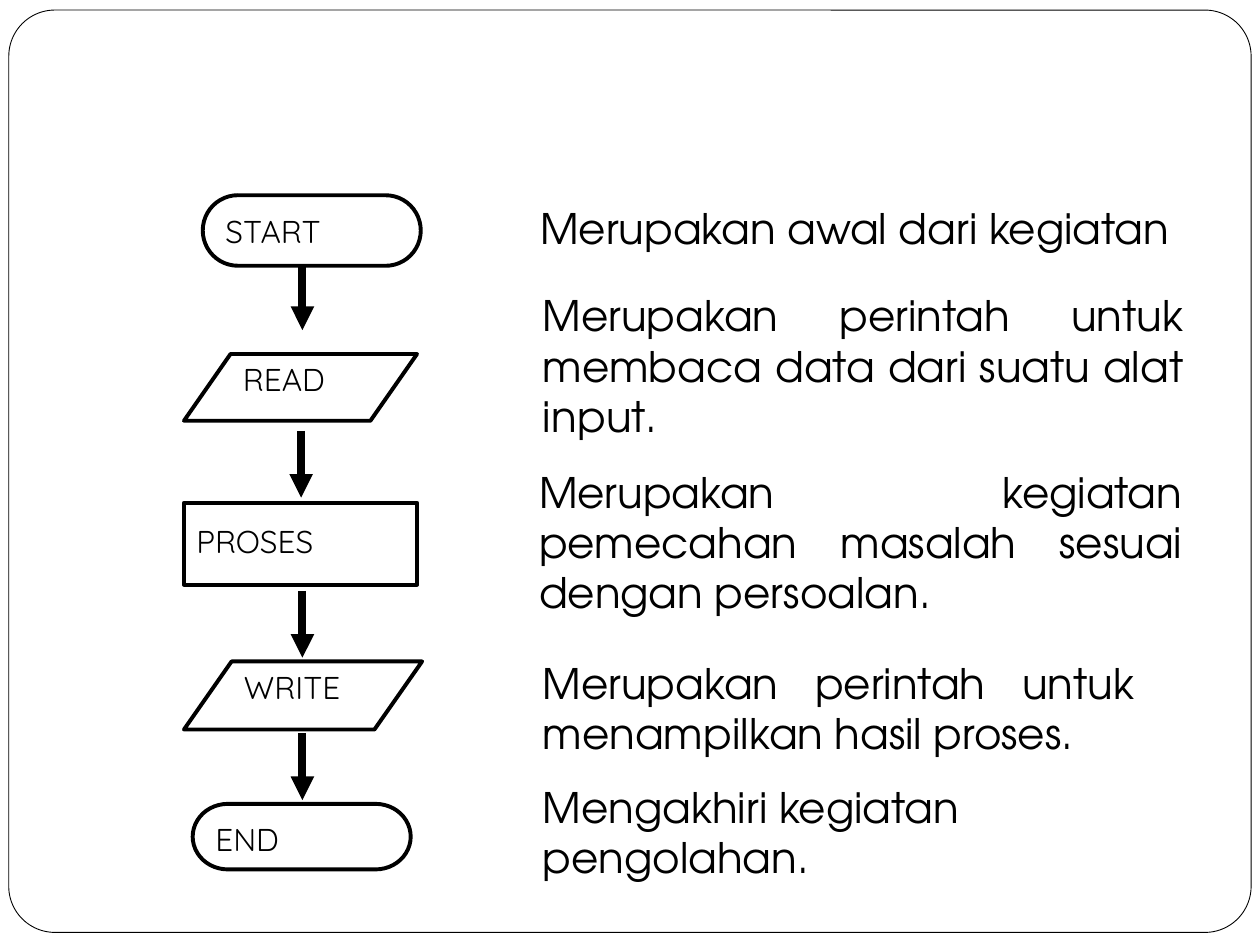
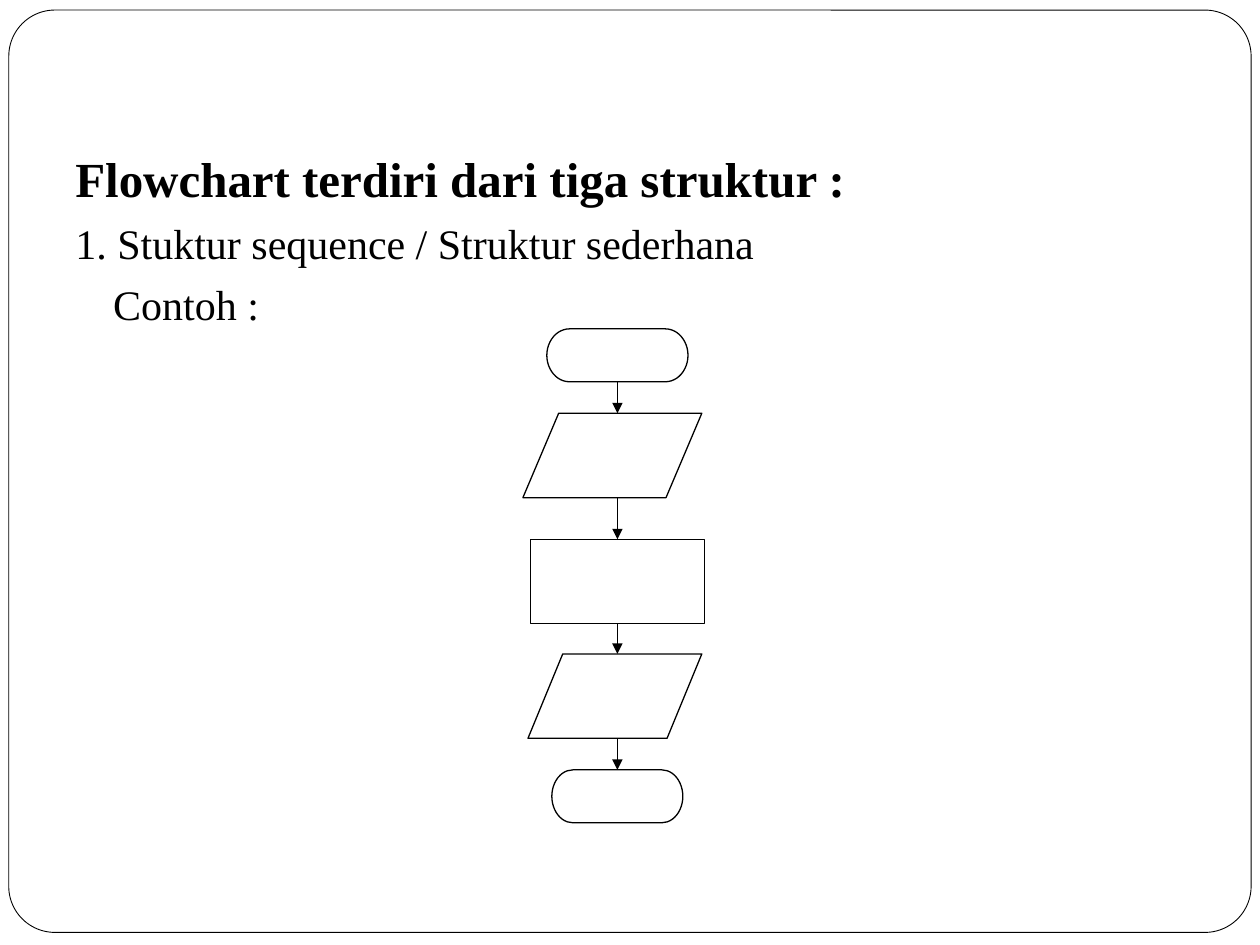
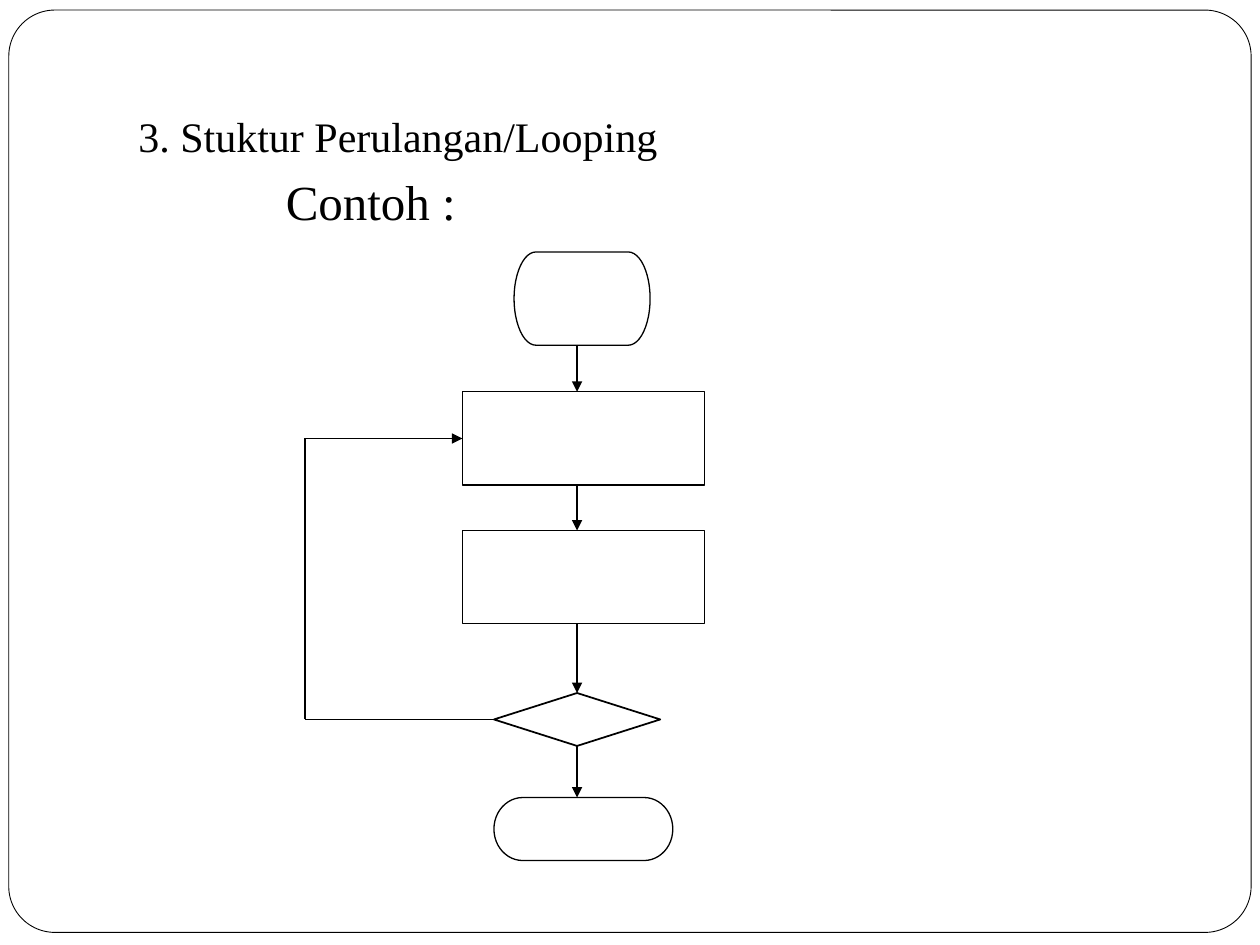
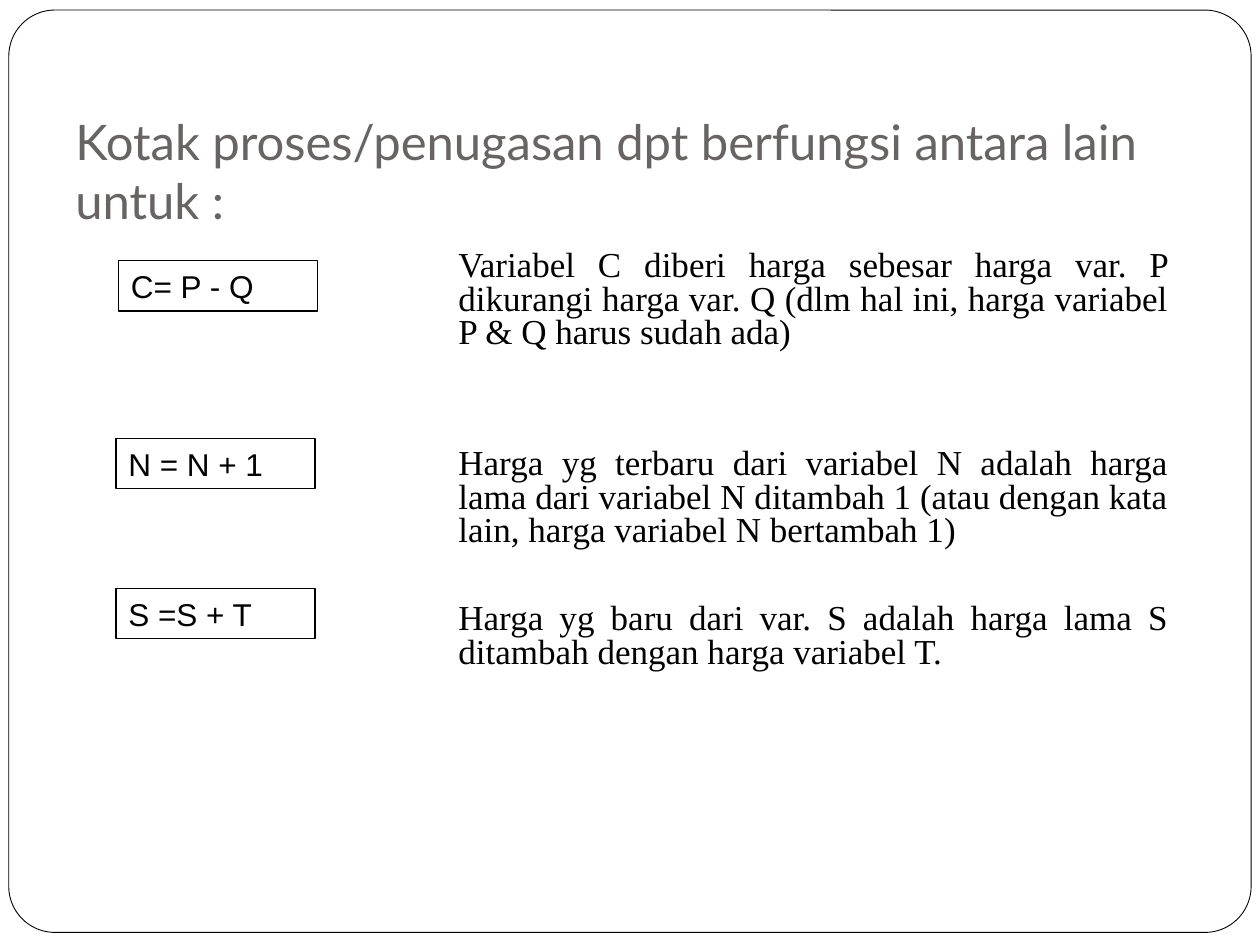
"""Build four slides on flowchart symbols, structures and assignment boxes."""
from typing import Any, NamedTuple, Optional

from lxml.etree import SubElement
from pptx import Presentation
from pptx.dml.color import RGBColor
from pptx.enum.shapes import MSO_CONNECTOR, MSO_SHAPE as Preset
from pptx.enum.text import MSO_ANCHOR as Anchor, PP_ALIGN as Align
from pptx.oxml.ns import qn
from pptx.util import Pt

PX = 9144
BLACK, WHITE, GREY = "000000", "FFFFFF", "696464"
SERIF, SANS, LABEL, GOTHIC, HEADING = (
    "Times New Roman", "Arial", "Quicksand", "TeX Gyre Adventor", "Lato")
TERMINATOR = Preset.FLOWCHART_TERMINATOR
DATA = Preset.FLOWCHART_DATA
PROCESS = Preset.FLOWCHART_PROCESS
DECISION = Preset.DIAMOND


class Area(NamedTuple):
    left: int
    top: int
    width: int
    height: int


class Para(NamedTuple):
    text: str
    size: int
    font: str = SERIF
    color: str = BLACK
    bold: bool = False
    align: Align = Align.LEFT
    before: float = 0
    spacing: float = 1
    margin: int = 0
    hanging: int = 0


class Box(NamedTuple):
    preset: Preset
    area: Area
    label: Optional[Para] = None
    inset_top: int = 5
    anchor: Anchor = Anchor.TOP
    weight: float = 0.75


class Arrow(NamedTuple):
    start: tuple[int, int]
    end: tuple[int, int]
    head: bool = True


def emu(*lengths: int) -> list[int]:
    """Turn px lengths into EMU."""
    return [length * PX for length in lengths]


def rgb(color: str) -> RGBColor:
    """Turn a hex string into a colour."""
    return RGBColor.from_string(color)


def apply(target: Any, values: dict[str, Any]) -> None:
    """Set every format value on the target."""
    for key, value in values.items():
        setattr(target, key, value)


def write(shape: Any, paras: list[Para], anchor: Anchor = Anchor.TOP,
          inset_top: int = 5, inset_bottom: int = 5) -> None:
    """Fill the text frame of a shape with paragraphs."""
    frame = shape.text_frame
    apply(frame, {
        "word_wrap": True, "vertical_anchor": anchor,
        "margin_left": 10 * PX, "margin_right": 10 * PX,
        "margin_top": inset_top * PX, "margin_bottom": inset_bottom * PX})
    for number, para in enumerate(paras):
        line = frame.add_paragraph() if number else frame.paragraphs[0]
        indents = {"marL": para.margin, "indent": -para.hanging}
        for key, length in indents.items():
            line._p.get_or_add_pPr().set(key, str(length * PX))
        apply(line, {"alignment": para.align, "line_spacing": para.spacing,
                     "space_before": Pt(para.before)})
        run = line.add_run()
        run.text = para.text
        apply(run.font, {"size": Pt(para.size), "name": para.font,
                         "bold": para.bold})
        run.font.color.rgb = rgb(para.color)


def add_text(shapes: Any, area: Area, paras: list[Para], **layout: Any) -> None:
    """Add a text box."""
    write(shapes.add_textbox(*emu(*area)), paras, **layout)


def add_box(shapes: Any, box: Box, fill: str = "") -> Any:
    """Add an outlined preset shape with an optional label."""
    shape = shapes.add_shape(box.preset, *emu(*box.area))
    shape.shadow.inherit = False
    if fill:
        shape.fill.solid()
        shape.fill.fore_color.rgb = rgb(fill)
    else:
        shape.fill.background()
    shape.line.color.rgb = rgb(BLACK)
    shape.line.width = Pt(box.weight)
    if box.label:
        write(shape, [box.label], box.anchor, box.inset_top)
    return shape


def add_arrow(shapes: Any, arrow: Arrow, weight: float) -> Any:
    """Add a straight line, with a triangle at its end if it has a head."""
    line = shapes.add_connector(
        MSO_CONNECTOR.STRAIGHT, *emu(*arrow.start, *arrow.end))
    line.line.color.rgb = rgb(BLACK)
    line.line.width = Pt(weight)
    if arrow.head:
        SubElement(line.line._ln, qn("a:tailEnd"), type="triangle")
    SubElement(line._element.spPr, qn("a:effectLst"))
    return line


def side_middles(area: Area) -> list[tuple[int, int]]:
    """List the middles of the top, left, bottom and right sides."""
    left, top, width, height = area
    center, middle = left + width // 2, top + height // 2
    return [(center, top), (left, middle),
            (center, top + height), (left + width, middle)]


def add_flow(shapes: Any, boxes: list[Box], arrows: list[Arrow],
             weight: float = 0.75, fill: str = "") -> None:
    """Draw boxes and arrows, joining arrows that meet a box."""
    drawn = [(box, add_box(shapes, box, fill)) for box in boxes]
    for arrow in arrows:
        line = add_arrow(shapes, arrow, weight)
        for box, shape in drawn:
            if box.preset == DATA:
                continue
            for site, point in enumerate(side_middles(box.area)):
                if arrow.start == point:
                    line.begin_connect(shape, site)
                if arrow.end == point:
                    line.end_connect(shape, site)


def down(x: int, top: int, bottom: int) -> Arrow:
    """Describe an arrow that points straight down."""
    return Arrow((x, top), (x, bottom))


def new_slide(deck: Any) -> Any:
    """Add a blank slide with the rounded frame and return its shapes."""
    shapes = deck.slides.add_slide(deck.slide_layouts[6]).shapes
    frame = Box(Preset.ROUNDED_RECTANGLE, Area(7, 8, 986, 732), weight=0.5)
    add_box(shapes, frame, WHITE).adjustments[0] = 0.05
    return shapes


def symbols_slide(deck: Any) -> None:
    """Explain each flowchart symbol beside its shape."""
    shapes = new_slide(deck)
    symbols = [("START", TERMINATOR, Area(161, 155, 173, 56), 5),
               ("READ", DATA, Area(146, 281, 185, 53), 5),
               ("PROSES", PROCESS, Area(146, 399, 185, 65), 15),
               ("WRITE", DATA, Area(146, 525, 189, 54), 5),
               ("END", TERMINATOR, Area(153, 638, 173, 52), 5)]
    steps = [Box(preset, area, Para(name, 18, LABEL), inset, weight=2.25)
             for name, preset, area, inset in symbols]
    arrows = [down(240, 210, 262), down(239, 342, 395),
              down(240, 469, 522), down(240, 582, 635)]
    add_flow(shapes, steps, arrows, 4.5, WHITE)
    meanings = [
        (Area(419, 156, 530, 50), ["Merupakan awal dari kegiatan"]),
        (Area(421, 225, 528, 130),
         ["Merupakan perintah untuk membaca data dari suatu alat input."]),
        (Area(418, 365, 530, 130),
         ["Merupakan kegiatan pemecahan masalah sesuai dengan persoalan."]),
        (Area(421, 517, 489, 90),
         ["Merupakan perintah untuk menampilkan hasil proses."]),
        (Area(421, 615, 536, 90), ["Mengakhiri kegiatan", "pengolahan."])]
    for area, lines in meanings:
        add_text(shapes, area, [Para(text, 24, GOTHIC, align=Align.JUSTIFY)
                                for text in lines])


def sequence_slide(deck: Any) -> None:
    """Show the sequence structure."""
    shapes = new_slide(deck)
    add_text(shapes, Area(50, 113, 900, 595), [
        Para("Flowchart terdiri dari tiga struktur :", 28, bold=True,
             margin=30, hanging=30),
        Para("1. Stuktur sequence / Struktur sederhana", 24, before=5.8,
             margin=30, hanging=30),
        Para("Contoh :", 24, before=5.8, margin=30)])
    steps = [Box(TERMINATOR, Area(434, 261, 112, 42)),
             Box(DATA, Area(415, 328, 142, 67)),
             Box(PROCESS, Area(421, 428, 138, 67)),
             Box(DATA, Area(419, 519, 138, 67)),
             Box(TERMINATOR, Area(438, 611, 104, 42))]
    arrows = [down(490, upper.area.top + upper.area.height, lower.area.top)
              for upper, lower in zip(steps, steps[1:])]
    add_flow(shapes.add_group_shape().shapes, steps, arrows)


def looping_slide(deck: Any) -> None:
    """Show the looping structure."""
    shapes = new_slide(deck)
    add_text(shapes, Area(50, 83, 900, 587), [
        Para("3. Stuktur Perulangan/Looping", 24, margin=108, hanging=58),
        Para("Contoh :", 28, before=5.8, margin=167)])
    steps = [Box(TERMINATOR, Area(408, 200, 108, 74)),
             Box(PROCESS, Area(367, 311, 192, 74)),
             Box(PROCESS, Area(367, 421, 192, 74)),
             Box(DECISION, Area(392, 550, 132, 42), weight=1),
             Box(TERMINATOR, Area(392, 633, 142, 50))]
    forward = [down(458, upper.area.top + upper.area.height, lower.area.top)
               for upper, lower in zip(steps, steps[1:])]
    repeated, decision = (side_middles(steps[index].area)[1]
                          for index in (1, 3))
    low_corner, high_corner = (242, decision[1]), (242, repeated[1])
    back = [Arrow(decision, low_corner, head=False),
            Arrow(low_corner, high_corner, head=False),
            Arrow(high_corner, repeated)]
    add_flow(shapes.add_group_shape().shapes, steps, forward + back)


def assignment_slide(deck: Any) -> None:
    """Explain what assignment boxes do."""
    shapes = new_slide(deck)
    title = "Kotak proses/penugasan dpt berfungsi antara lain untuk :"
    add_text(shapes, Area(50, 80, 900, 112), [Para(title, 28, HEADING, GREY)],
             anchor=Anchor.BOTTOM, inset_bottom=10)
    formulas = [("C= P - Q", 94, 207), ("N = N + 1", 92, 348),
                ("S =S + T", 92, 467)]
    for formula, left, top in formulas:
        add_box(shapes, Box(Preset.RECTANGLE, Area(left, top, 158, 40),
                            Para(formula, 18, SANS), anchor=Anchor.MIDDLE))
    meanings = [
        ("Variabel C diberi harga sebesar harga var. P dikurangi harga var. Q "
         "(dlm hal ini, harga variabel P & Q harus sudah ada)", 0),
        ("Harga yg terbaru dari variabel N adalah harga lama dari variabel N "
         "ditambah 1 (atau dengan kata lain, harga variabel N bertambah 1)",
         55.5),
        ("Harga yg baru dari var. S adalah harga lama S ditambah dengan harga "
         "variabel T.", 31)]
    add_text(shapes, Area(287, 194, 650, 452), [
        Para(text, 20, align=Align.JUSTIFY, before=gap, spacing=0.8, margin=67)
        for text, gap in meanings])


def main() -> None:
    """Build and save the deck."""
    deck = Presentation()
    apply(deck, {"slide_width": 1000 * PX, "slide_height": 750 * PX})
    for build in (symbols_slide, sequence_slide, looping_slide,
                  assignment_slide):
        build(deck)
    deck.save("out.pptx")


if __name__ == "__main__":
    main()
